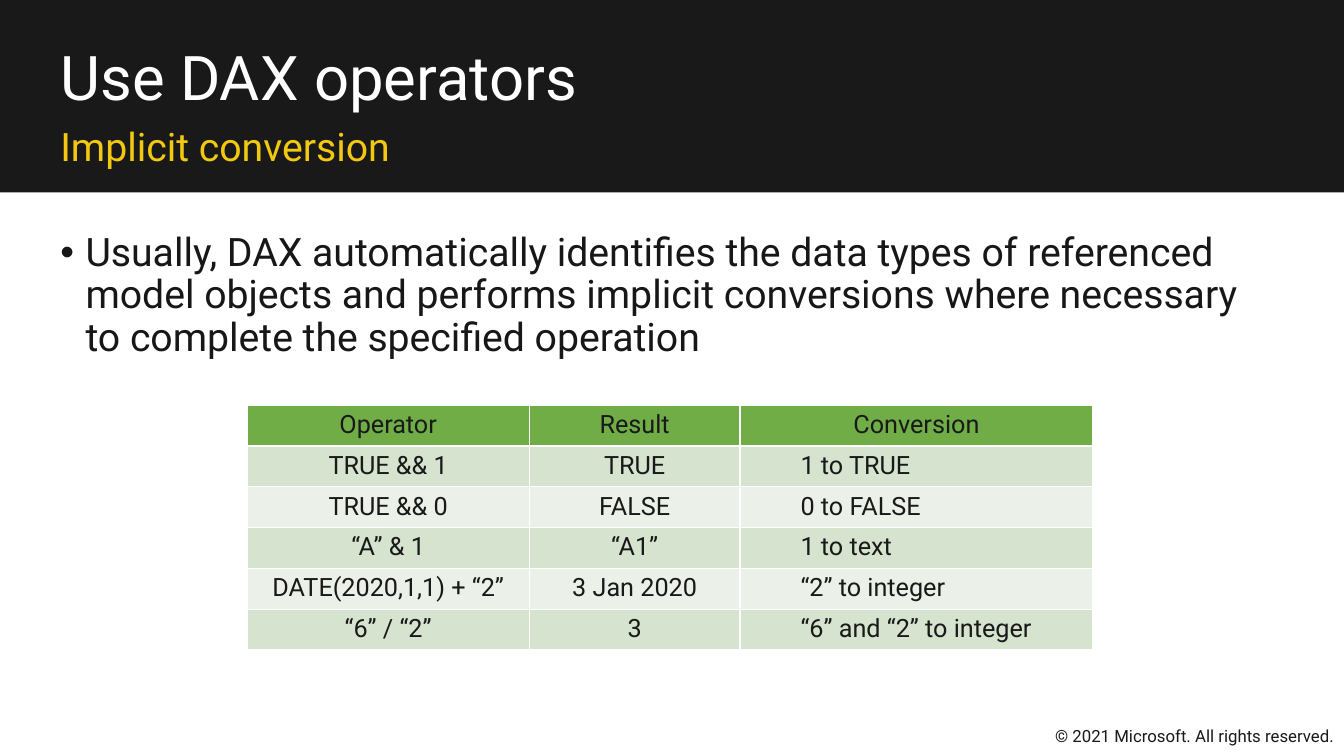
from pptx import Presentation
from pptx import util as u
from pptx.dml.color import RGBColor
from pptx.enum import shapes, text
from lxml import etree

FONT = "Roboto"
DARK = RGBColor(0x19, 0x19, 0x19)
BODY = RGBColor(0x17, 0x17, 0x17)
WHITE = RGBColor(0xFF, 0xFF, 0xFF)
YELLOW = RGBColor(0xF2, 0xC8, 0x11)
HEADER_GREEN = RGBColor(0x70, 0xAD, 0x47)
BANDS = [RGBColor(0xD5, 0xE3, 0xCF), RGBColor(0xEB, 0xF1, 0xE9)]

WIDTH, HEIGHT = 13.33, 7.5
MARGIN = 0.5
CONTENT = 12.29
ROW = 0.405
COLUMNS = [2.8, 2.09, 3.5]
ROWS = [
    ("Operator", "Result", "Conversion"),
    ("TRUE && 1", "TRUE", "1 to TRUE"),
    ("TRUE && 0", "FALSE", "0 to FALSE"),
    ("“A” & 1", "“A1”", "1 to text"),
    ("DATE(2020,1,1) + “2”", "3 Jan 2020", "“2” to integer"),
    ("“6” / “2”", "3", "“6” and “2” to integer"),
]


def write(frame, words, size, color, align=text.PP_ALIGN.LEFT, spacing=None):
    frame.text = words
    frame.word_wrap = True
    para = frame.paragraphs[0]
    para.alignment = align
    if spacing:
        para.line_spacing = spacing
    font = para.runs[0].font
    font.name, font.size, font.bold = FONT, u.Pt(size), False
    font.color.rgb = color
    return para


def add_text(page, left, top, width, height, anchor, *words, **options):
    box = page.shapes.add_textbox(*map(u.Inches, (left, top, width, height)))
    box.text_frame.vertical_anchor = anchor
    return write(box.text_frame, *words, **options)


deck = Presentation()
deck.slide_width, deck.slide_height = u.Inches(WIDTH), u.Inches(HEIGHT)
page = deck.slides.add_slide(deck.slide_layouts[5])

# Title on a dark band
title = page.shapes.title
title.left, title.top = u.Inches(MARGIN), u.Inches(0.42)
title.width, title.height = u.Inches(CONTENT), u.Inches(0.76)
title.text_frame.vertical_anchor = text.MSO_ANCHOR.TOP
title.text_frame.auto_size = text.MSO_AUTO_SIZE.NONE
write(title.text_frame, "Use DAX operators", 44, WHITE, spacing=0.9)

band = page.shapes.add_shape(shapes.MSO_SHAPE.RECTANGLE, 0, 0, deck.slide_width, u.Inches(1.91))
band.shadow.inherit = False
band.fill.solid()
band.fill.fore_color.rgb = DARK
band.line.fill.background()
title._element.addprevious(band._element)

# Subtitle
add_text(page, MARGIN, 1.18, CONTENT, 0.59, text.MSO_ANCHOR.MIDDLE,
         "Implicit conversion", 28, YELLOW, spacing=0.9)

# Bullet with a hanging indent
bullet = add_text(page, MARGIN, 2.26, CONTENT, HEIGHT - 2.26, text.MSO_ANCHOR.TOP,
                  "Usually, DAX automatically identifies the data types of referenced "
                  "model objects and performs implicit conversions where necessary "
                  "to complete the specified operation", 28, BODY, spacing=0.9)
properties = bullet._p.get_or_add_pPr()
properties.set("marL", str(u.Inches(0.25)))
properties.set("indent", str(-u.Inches(0.25)))
namespace = "{http://schemas.openxmlformats.org/drawingml/2006/main}"
etree.SubElement(properties, namespace + "buFont", typeface="Arial")
etree.SubElement(properties, namespace + "buChar", char="•")

# Copyright line
add_text(page, 10.35, 7.1, 2.98, 0.4, text.MSO_ANCHOR.MIDDLE,
         "© 2021 Microsoft. All rights reserved.", 12, DARK, align=text.PP_ALIGN.RIGHT)

# Conversion table
table = page.shapes.add_table(
    len(ROWS), len(COLUMNS), u.Inches(2.45), u.Inches(4.02),
    u.Inches(sum(COLUMNS)), u.Inches(ROW * len(ROWS))).table
for column, width in zip(table.columns, COLUMNS):
    column.width = u.Inches(width)
for r, row in enumerate(ROWS):
    for c, words in enumerate(row):
        cell = table.cell(r, c)
        cell.fill.solid()
        cell.fill.fore_color.rgb = BANDS[(r - 1) % 2] if r else HEADER_GREEN
        indented = r > 0 and c == 2
        align = text.PP_ALIGN.LEFT if indented else text.PP_ALIGN.CENTER
        para = write(cell.text_frame, words, 18, DARK, align=align)
        if indented:
            para.level = 1
            para._p.get_or_add_pPr().set("marL", str(u.Inches(0.5)))

deck.save("out.pptx")
